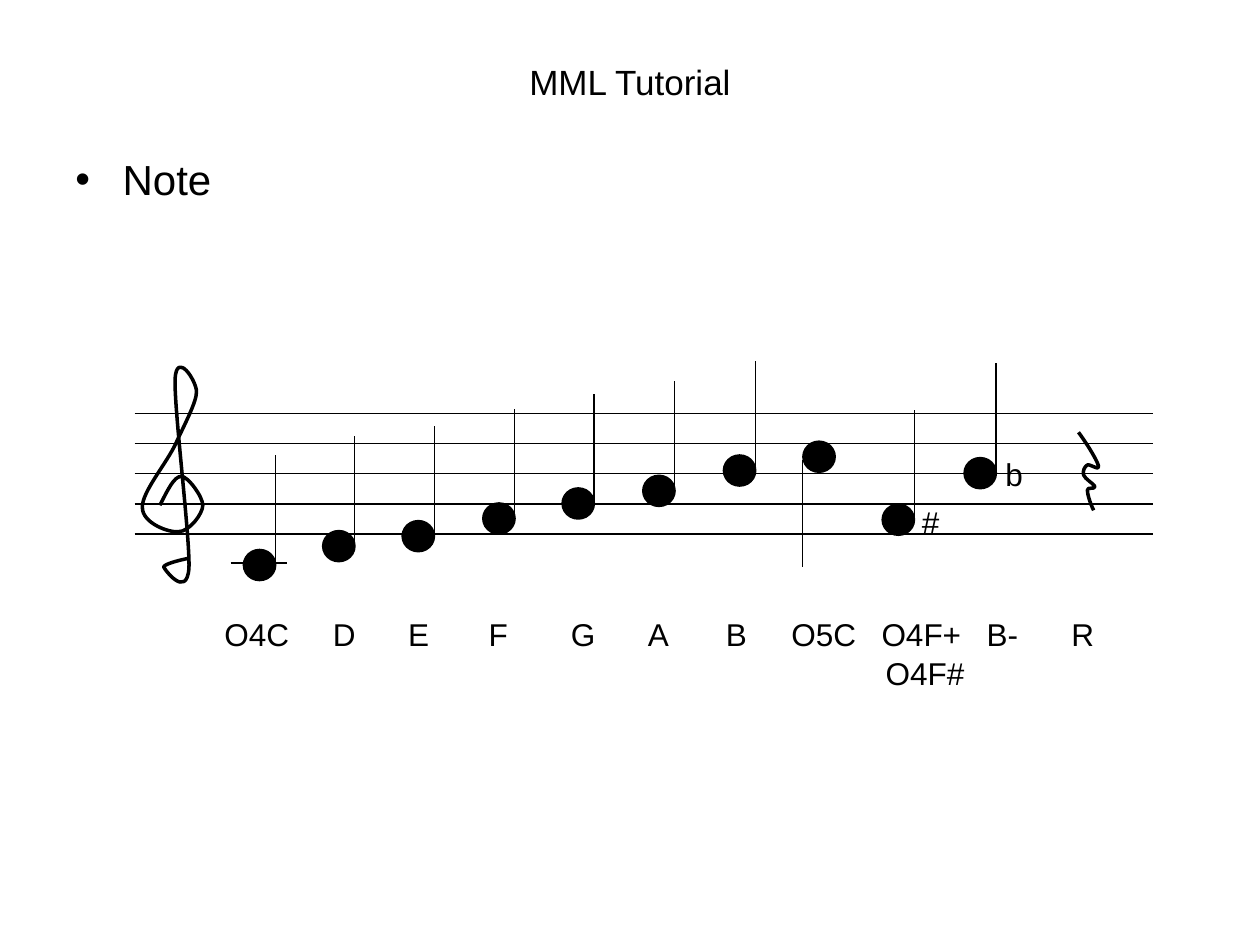
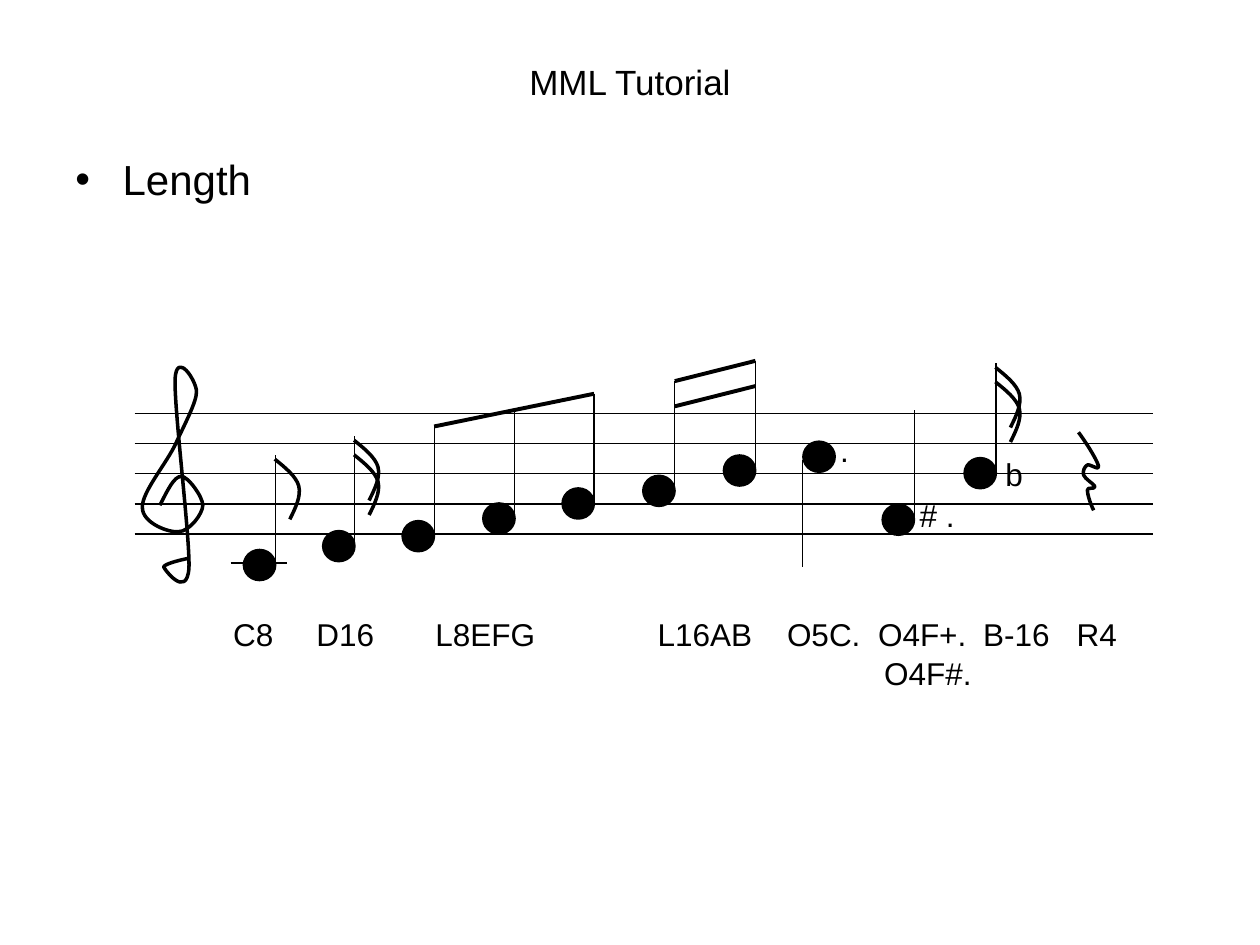
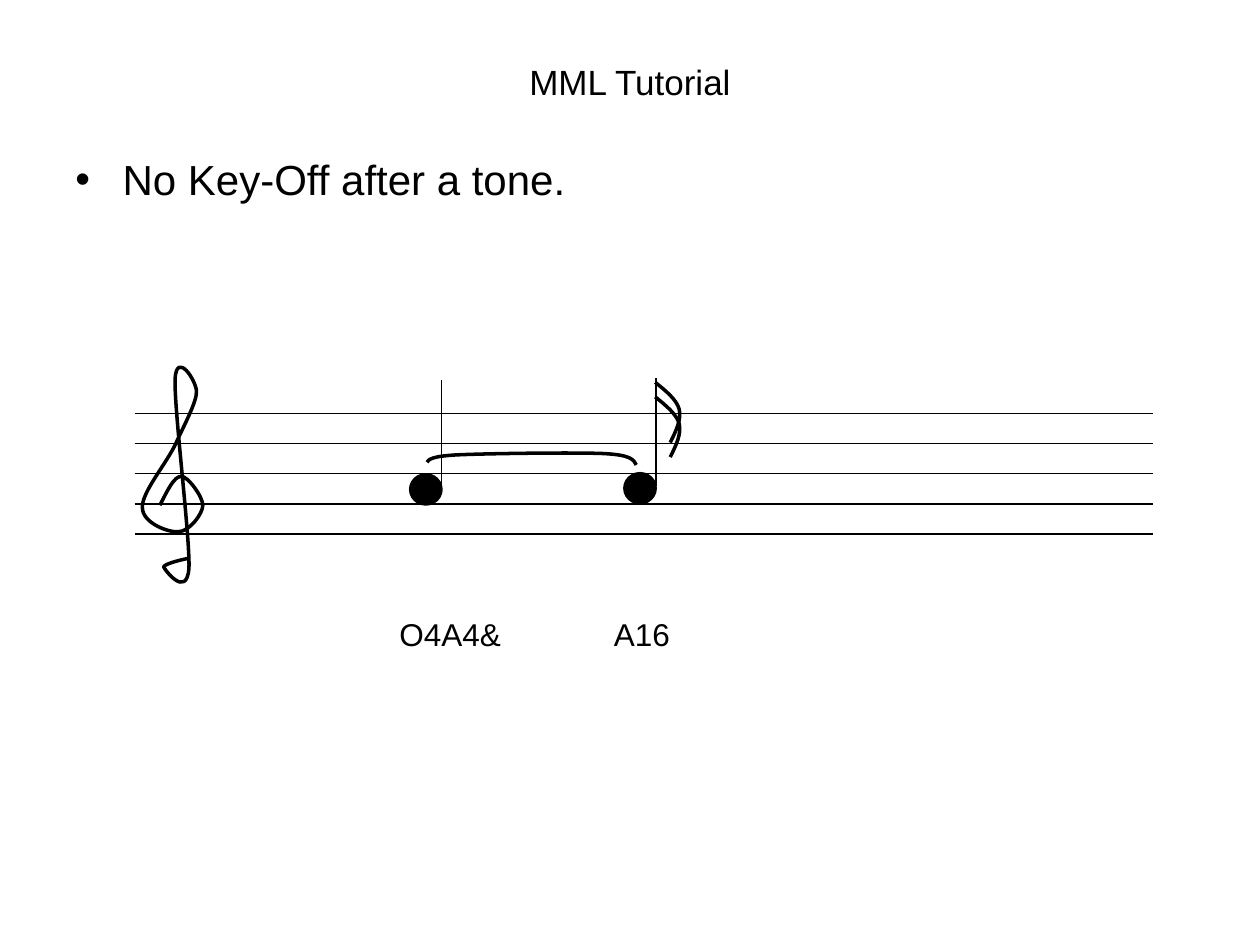
"""Build three slides that explain MML notes on a musical staff."""
from dataclasses import dataclass

from lxml import etree
from pptx import Presentation
from pptx.dml.color import RGBColor
from pptx.enum import shapes, text
from pptx.oxml.ns import qn
from pptx.util import Pt


@dataclass(frozen=True)
class Theme:
    """Colours, font, type sizes and line widths."""
    ink: RGBColor = RGBColor(0, 0, 0)
    font: str = "Arial"
    head: int = 20
    point: int = 24
    label: int = 18
    thin: float = 0.75
    bold: float = 2
    beam: float = 2.25


LOOK = Theme()
HEAD_W, HEAD_H = 17.3, 16.6
STEM_X, STEM_Y, STEM_TOP = 17.7, 7.2, -54.4
FLAG_GAP = 8.3

CLEF = [(91.4, 288.7),
        (95.8, 280.1), (99.4, 272.2), (103.7, 272.2),
        (107.3, 272.2), (115.9, 283.7), (115.9, 288.7),
        (115.9, 293.8), (108, 303.8), (102.2, 303.8),
        (96.5, 304.6), (81.4, 298.8), (81.4, 290.2),
        (80.6, 281.5), (95.8, 264.2), (100.8, 252.7),
        (105.8, 241.9), (112.3, 229.7), (112.3, 223.9),
        (112.3, 217.4), (100.8, 200.2), (100.1, 216.7),
        (99.4, 233.3), (108.7, 307.4), (108, 324.7),
        (106.6, 342.7), (93.6, 324.7), (93.6, 324),
        (93.6, 322.6), (100.8, 320.4), (108, 319)]
REST = [(616.3, 247),
        (622.1, 254.9), (627.1, 263.5), (627.8, 266.4),
        (628.6, 269.3), (622.8, 265), (621.4, 265.7),
        (619.9, 266.4), (618.5, 269.3), (619.2, 271.4),
        (619.9, 273.6), (625, 276.5), (625.7, 277.9),
        (625.7, 280.1), (621.4, 277.9), (621.4, 280.1),
        (621.4, 282.2), (622.8, 287.3), (625, 291.6)]
SLUR = [(244.1, 264.2),
        (244.8, 262.8), (246.2, 260.6), (262.8, 259.9),
        (279.4, 259.2), (326.9, 258.5), (344.2, 259.2),
        (360.7, 259.9), (362.2, 262.8), (363.6, 265.7)]
FLAG = [(0, 0), (6.1, 4.9), (12.2, 9.9), (13.7, 15.3),
        (15.1, 21.2), (11.9, 27.7), (8.6, 34.4)]
SCALE = [(139.7, 314.6), (185, 303.8), (230.4, 298.1), (276.5, 288),
         (321.8, 279.4), (367.9, 272.2), (414, 260.6), (459.4, 252.7),
         (504.7, 288.7), (551.5, 262.1)]
HIGH_C = 7
TIED = [(234.7, 271.4), (357.1, 270.7)]


def style(frame, size):
    """Give every run the shared font and colour at one size."""
    for para in frame.paragraphs:
        for run in para.runs:
            run.font.name = LOOK.font
            run.font.size = Pt(size)
            run.font.color.rgb = LOOK.ink


def line(home, x1, y1, x2, y2, width=LOOK.thin):
    """Draw a straight line without a shadow."""
    rule = home.shapes.add_connector(
        shapes.MSO_CONNECTOR.STRAIGHT, Pt(x1), Pt(y1), Pt(x2), Pt(y2))
    rule.line.color.rgb = LOOK.ink
    rule.line.width = Pt(width)
    etree.SubElement(rule._element.spPr, qn("a:effectLst"))


def curve(slide, dots):
    """Draw an open Bezier curve from a start and triples of points."""
    (x, y), *rest = [(Pt(a), Pt(b)) for a, b in dots]
    pen = slide.shapes.build_freeform(x, y)
    pen.add_line_segments(rest, close=False)
    shape = pen.convert_to_shape()
    shape.shadow.inherit = False
    shape.fill.background()
    shape.line.color.rgb = LOOK.ink
    shape.line.width = Pt(LOOK.bold)
    steps = shape._element.xpath(".//a:lnTo")
    for i in range(0, len(steps), 3):
        bend = etree.Element(qn("a:cubicBezTo"))
        steps[i].addprevious(bend)
        for step in steps[i:i + 3]:
            bend.append(step[0])
            step.getparent().remove(step)


def note(slide, x, y, down=False, flags=0):
    """Draw a note head with its stem and flags."""
    group = slide.shapes.add_group_shape()
    head = group.shapes.add_shape(
        shapes.MSO_SHAPE.OVAL, Pt(x), Pt(y), Pt(HEAD_W), Pt(HEAD_H))
    head.shadow.inherit = False
    head.fill.solid()
    head.fill.fore_color.rgb = LOOK.ink
    head.line.color.rgb = LOOK.ink
    head.line.width = Pt(LOOK.bold)
    if down:
        line(group, x - 0.7, y + 10, x - 0.7, y + 71.3)
    else:
        line(group, x + STEM_X, y + STEM_Y, x + STEM_X, y + STEM_TOP)
    for i in range(flags):
        left, top = x + STEM_X - 0.4, y + STEM_TOP + 2.2 + i * FLAG_GAP
        curve(slide, [(left + a, top + b) for a, b in FLAG])


def beam(slide, first, last, drop=0):
    """Join the stem tops of two notes with a thick line."""
    (x1, y1), (x2, y2) = first, last
    line(slide, x1 + STEM_X, y1 + STEM_TOP + drop,
         x2 + STEM_X, y2 + STEM_TOP + drop, LOOK.beam)


def mark(slide, words, x, y, width):
    """Place a short one-line text."""
    box = slide.shapes.add_textbox(Pt(x), Pt(y), Pt(width), Pt(28.8))
    frame = box.text_frame
    frame.word_wrap = False
    frame.auto_size = text.MSO_AUTO_SIZE.SHAPE_TO_FIT_TEXT
    frame.text = words
    style(frame, LOOK.label)


def labels(slide, stops):
    """Write the MML codes on one line, each at its tab stop."""
    box = slide.shapes.add_textbox(Pt(102.2), Pt(347.8), Pt(551.5), Pt(28.8))
    frame = box.text_frame
    frame.word_wrap = True
    frame.text = "".join("\t" + code for code, _ in stops)
    style(frame, LOOK.label)
    tabs = etree.SubElement(
        frame.paragraphs[0]._p.get_or_add_pPr(), qn("a:tabLst"))
    for _, x in stops:
        etree.SubElement(tabs, qn("a:tab"), pos=str(Pt(x)), algn="l")


def bullet(slide, words):
    """Write the bulleted topic of the slide."""
    box = slide.shapes.add_textbox(Pt(36), Pt(84.2), Pt(648), Pt(398.2))
    frame = box.text_frame
    frame.word_wrap = True
    frame.text = words
    style(frame, LOOK.point)
    props = frame.paragraphs[0]._p.get_or_add_pPr()
    props.set("marL", str(Pt(27)))
    props.set("indent", str(Pt(-27)))
    space = etree.SubElement(props, qn("a:spcBef"))
    etree.SubElement(space, qn("a:spcPct"), val="20000")
    etree.SubElement(props, qn("a:buFont"), typeface=LOOK.font)
    etree.SubElement(props, qn("a:buChar"), char="•")


def page(deck, topic, stops):
    """Add a slide with title, topic, staff, clef and labels."""
    slide = deck.slides.add_slide(deck.slide_layouts[5])
    title = slide.shapes.title
    title.left, title.top = Pt(36), Pt(21.6)
    title.width, title.height = Pt(648), Pt(50.4)
    frame = title.text_frame
    frame.text = "MML Tutorial"
    frame.auto_size = text.MSO_AUTO_SIZE.NONE
    frame.vertical_anchor = text.MSO_ANCHOR.MIDDLE
    frame.paragraphs[0].alignment = text.PP_ALIGN.CENTER
    style(frame, LOOK.head)
    bullet(slide, topic)
    for i in range(5):
        y = 236.2 + i * 17.25
        line(slide, 77, y, 658.8, y)
    curve(slide, CLEF)
    labels(slide, stops)
    return slide


def scale(slide, flags):
    """Draw the ten notes, the ledger line, the flat and the rest."""
    for i, (x, y) in enumerate(SCALE):
        note(slide, x, y, down=i == HIGH_C, flags=flags.get(i, 0))
    line(slide, 131.8, 321.8, 164.2, 321.8)
    mark(slide, "b", 567.4, 256.3, 24.5)
    curve(slide, REST)


def main():
    """Build and save the deck."""
    deck = Presentation()
    deck.slide_width, deck.slide_height = Pt(720), Pt(540)

    slide = page(deck, "Note", [
        ("O4C", 19), ("D", 81), ("E", 124), ("F", 170), ("G", 217),
        ("A", 261), ("B", 305.5), ("O5C", 343), ("O4F+", 394.5),
        ("B-", 454.5), ("R", 503)])
    scale(slide, {})
    mark(slide, "#", 519.8, 283.7, 24.5)
    mark(slide, "O4F#", 499, 370.1, 59.8)

    slide = page(deck, "Length", [
        ("C8", 24), ("D16", 71.5), ("L8EFG", 139.5), ("L16AB", 266.5),
        ("O5C.", 340.5), ("O4F+.", 392.5), ("B-16", 452.5), ("R4", 506)])
    scale(slide, {0: 1, 1: 2, 9: 2})
    beam(slide, SCALE[2], SCALE[4])
    for drop in (0, 14.4):
        beam(slide, SCALE[5], SCALE[6], drop)
    mark(slide, "# .", 518.4, 280.1, 34.6)
    mark(slide, ".", 473, 242.6, 19.4)
    mark(slide, "O4F#.", 498.2, 370.1, 64.8)

    slide = page(deck, "No Key-Off after a tone.",
                 [("O4A4&", 119), ("A16", 241.5)])
    for (x, y), flags in zip(TIED, (0, 2)):
        note(slide, x, y, flags=flags)
    curve(slide, SLUR)

    deck.save("out.pptx")


if __name__ == "__main__":
    main()
